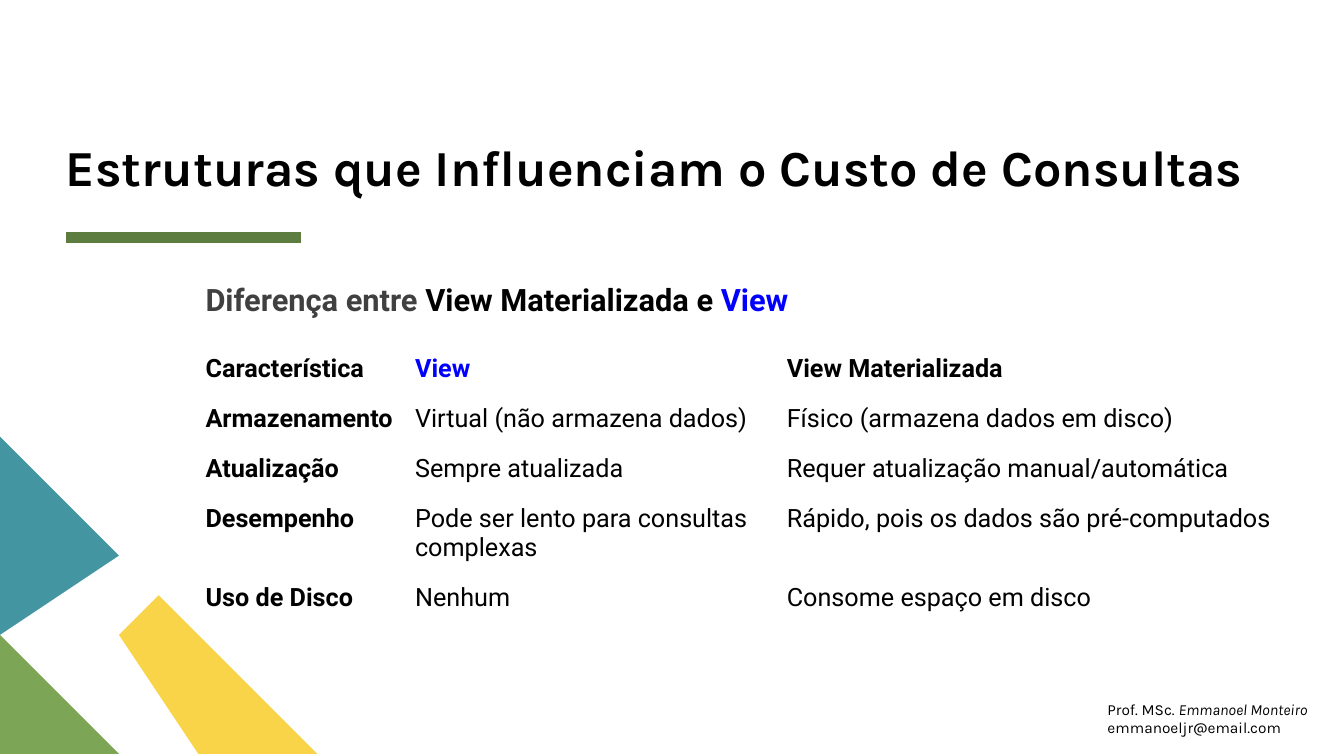
from dataclasses import dataclass

from lxml import etree
from pptx import Presentation
from pptx.dml.color import RGBColor
from pptx.enum.shapes import MSO_CONNECTOR
from pptx.enum.text import MSO_ANCHOR, MSO_AUTO_SIZE, PP_ALIGN
from pptx.oxml.ns import qn
from pptx.util import Cm, Pt

STRAIGHT = MSO_CONNECTOR.STRAIGHT
BOTTOM = MSO_ANCHOR.BOTTOM
TOP = MSO_ANCHOR.TOP
LEFT = PP_ALIGN.LEFT
NO_AUTOFIT = MSO_AUTO_SIZE.NONE
PLAIN_TABLE_STYLE = "{2D5ABB26-0587-4C30-8999-92F81FD0307C}"


@dataclass(frozen=True)
class Theme:
    heading_font: str = "Karla"
    body_font: str = "Roboto"
    title_size: int = 36
    subtitle_size: int = 22
    table_size: int = 18
    footer_size: int = 11
    black: str = "000000"
    gray: str = "404040"
    blue: str = "0000FF"
    rule: str = "5D7C3F"
    yellow: str = "F9D448"
    green: str = "7CA655"
    teal: str = "4495A2"


def write(p, text, *, font, size, color, bold=False, italic=False):
    r = p.add_run()
    r.text = text
    r.font.name = font
    r.font.size = Pt(size)
    r.font.bold = bold
    r.font.italic = italic
    r.font.color.rgb = RGBColor.from_string(color)


class SlideBuilder:
    def __init__(self, prs, theme):
        self.theme = theme
        self.s = prs.slides.add_slide(prs.slide_layouts[5])

    def frame(self, sp, margins, anchor=TOP):
        tf = sp.text_frame
        tf.word_wrap = True
        tf.auto_size = NO_AUTOFIT
        tf.vertical_anchor = anchor
        tf.margin_left = tf.margin_right = Cm(margins[0])
        tf.margin_top = tf.margin_bottom = Cm(margins[1])
        p = tf.paragraphs[0]
        p.alignment = LEFT
        return p

    def title(self, text, x, y, w, h):
        sp = self.s.shapes.title
        sp.left, sp.top, sp.width, sp.height = Cm(x), Cm(y), Cm(w), Cm(h)
        p = self.frame(sp, (0, 0), BOTTOM)
        p.line_spacing = 0.8
        write(p, text, font=self.theme.heading_font, size=self.theme.title_size,
              color=self.theme.black, bold=True)

    def text_box(self, x, y, w, h, margins):
        sp = self.s.shapes.add_textbox(Cm(x), Cm(y), Cm(w), Cm(h))
        return self.frame(sp, margins)

    def rule(self, x1, x2, y, color, width):
        line = self.s.shapes.add_connector(STRAIGHT, Cm(x1), Cm(y), Cm(x2), Cm(y))
        line.line.color.rgb = RGBColor.from_string(color)
        line.line.width = Pt(width)
        etree.SubElement(line._element.spPr, qn("a:effectLst"))

    def polygons(self, outlines):
        group = self.s.shapes.add_group_shape()
        for color, points in outlines:
            builder = group.shapes.build_freeform(*points[0], scale=Cm(1))
            builder.add_line_segments(points[1:], close=True)
            sp = builder.convert_to_shape()
            sp.shadow.inherit = False
            sp.fill.solid()
            sp.fill.fore_color.rgb = RGBColor.from_string(color)
            sp.line.fill.background()

    def table(self, rows, x, y, widths, heights):
        theme = self.theme
        shape = self.s.shapes.add_table(len(rows), len(widths), Cm(x), Cm(y),
                                        Cm(sum(widths)), Cm(sum(heights)))
        table = shape.table
        table.first_row = table.horz_banding = False
        table._tbl.tblPr.find(qn("a:tableStyleId")).text = PLAIN_TABLE_STYLE
        for column, width in zip(table.columns, widths):
            column.width = Cm(width)
        for i, (row, height) in enumerate(zip(rows, heights)):
            table.rows[i].height = Cm(height)
            for j, text in enumerate(row):
                cell = table.cell(i, j)
                cell.fill.background()
                cell.margin_left = cell.margin_right = Cm(0.25)
                cell.margin_top = cell.margin_bottom = Cm(0.25)
                p = cell.text_frame.paragraphs[0]
                p.line_spacing = 1.15 if i == 0 else 1.0
                write(p, text, font=theme.body_font, size=theme.table_size,
                      color=theme.blue if (i, j) == (0, 1) else theme.black,
                      bold=i == 0 or j == 0)


def main():
    prs = Presentation()
    prs.slide_width, prs.slide_height = Cm(33.87), Cm(19.05)
    theme = Theme()
    slide = SlideBuilder(prs, theme)

    slide.rule(1.66, 7.58, 5.98, theme.rule, 8)
    slide.title("Estruturas que Influenciam o Custo de Consultas", 1.66, 0.28, 30.2, 4.67)
    slide.polygons([
        (theme.yellow, [(8.23, 19.05), (5.46, 19.05), (2.69, 16.28), (4.09, 14.91)]),
        (theme.green, [(2.69, 19.05), (0, 19.05), (0, 16.36)]),
        (theme.teal, [(0, 10.85), (2.69, 13.54), (0, 16.23)]),
    ])

    footer = slide.text_box(27.66, 17.5, 6.2, 1.19, (0.25, 0.13))
    footer_style = dict(font=theme.heading_font, size=theme.footer_size, color=theme.black)
    write(footer, "Prof. MSc. ", **footer_style)
    write(footer, "Emmanoel Monteiro", italic=True, **footer_style)
    footer.add_line_break()
    write(footer, "emmanoeljr@email.com", **footer_style)

    slide.table([
        ("Característica", "View", "View Materializada"),
        ("Armazenamento", "Virtual (não armazena dados)", "Físico (armazena dados em disco)"),
        ("Atualização", "Sempre atualizada", "Requer atualização manual/automática"),
        ("Desempenho", "Pode ser lento para consultas complexas",
         "Rápido, pois os dados são pré-computados"),
        ("Uso de Disco", "Nenhum", "Consome espaço em disco"),
    ], 4.93, 8.56, (5.28, 9.37, 13.23), (1.37, 1.26, 1.26, 2.0, 1.26))

    subtitle = slide.text_box(4.93, 6.35, 15.6, 1.45, (0.25, 0.25))
    subtitle.line_spacing = 1.5
    subtitle.space_before, subtitle.space_after = Pt(14), Pt(4)
    for text, color in (("Diferença entre ", theme.gray),
                        ("View Materializada e ", theme.black),
                        ("View", theme.blue)):
        write(subtitle, text, font=theme.body_font, size=theme.subtitle_size,
              color=color, bold=True)

    prs.save("out.pptx")


if __name__ == "__main__":
    main()
